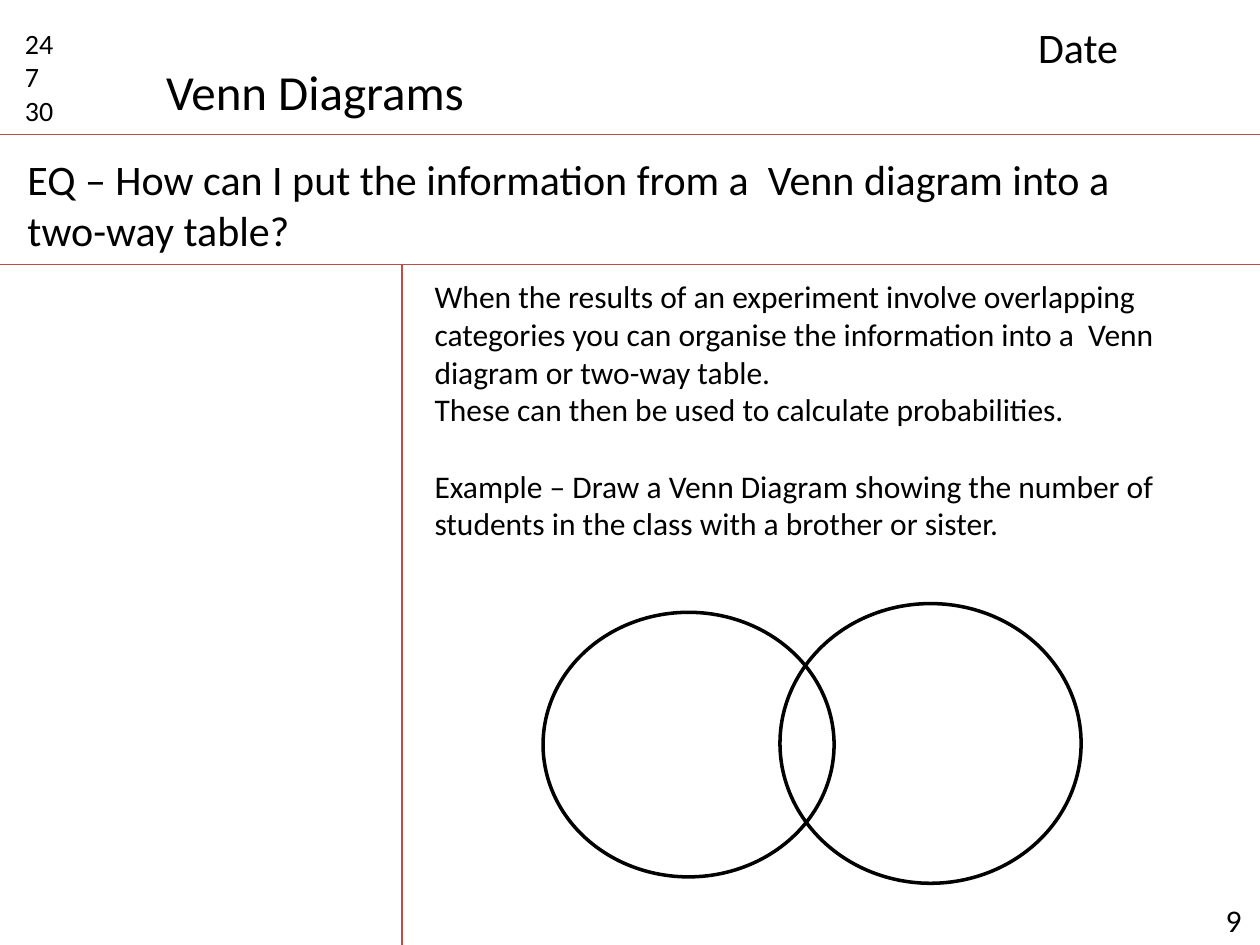
import pptx
import pptx.dml.color
import pptx.enum.shapes
import pptx.enum.text
import pptx.oxml.ns
import pptx.util
from lxml import etree

prs = pptx.Presentation()
prs.slide_width = pptx.util.Inches(10)
prs.slide_height = pptx.util.Inches(7.5)
s = prs.slides.add_slide(prs.slide_layouts[6])

# Grid of 100 columns by 75 rows
COLS, ROWS = 100, 75
col = prs.slide_width / COLS
row = prs.slide_height / ROWS
TOP_RULE, EQ_RULE, MARGIN = 10.7, 21, 31.9


def rgb(code):
    return pptx.dml.color.RGBColor.from_string(code)


def add_text(text, x, y, w, h, size, wrap=True, gaps=()):
    """Place text, one paragraph a line; gaps lists paragraphs set off by a line."""
    tf = s.shapes.add_textbox(int(x * col), int(y * row), int(w * col), int(h * row)).text_frame
    tf.word_wrap = wrap
    tf.auto_size = pptx.enum.text.MSO_AUTO_SIZE.SHAPE_TO_FIT_TEXT
    for i, line in enumerate(text.split("\n")):
        p = tf.paragraphs[0] if i == 0 else tf.add_paragraph()
        if i in gaps:
            p.space_before = pptx.util.Pt(size * 1.22)
        r = p.add_run()
        r.text = line
        r.font.size = pptx.util.Pt(size)
        r.font.name = "Calibri"
        r.font.color.rgb = rgb("000000")


# Page number
add_text("9", 96.3, 71, 3.7, 4, 18)

# Ruled lines: two across, one for the margin
for x1, y1, x2, y2 in [(0, TOP_RULE, COLS, TOP_RULE),
                       (0, EQ_RULE, COLS, EQ_RULE),
                       (MARGIN, EQ_RULE, MARGIN, ROWS)]:
    sp = s.shapes.add_connector(pptx.enum.shapes.MSO_CONNECTOR.STRAIGHT,
                                int(x1 * col), int(y1 * row), int(x2 * col), int(y2 * row))
    sp.line.color.rgb = rgb("BF4C48")
    sp.line.width = pptx.util.Pt(0.75)
    etree.SubElement(sp._element.spPr, pptx.oxml.ns.qn("a:effectLst"))

# Header
add_text("24\n7\n30", 1, 1.6, 6.3, 9.1, 16)
add_text("Venn Diagrams", 12.2, 4.4, 25.9, 5.7, 28, wrap=False)
add_text("Date", 81.4, 1.2, 17.3, 5, 24)

# Essential question
add_text("EQ – How can I put the information from a  Venn diagram into a two-way table?",
         1.2, 11.7, 94.3, 9.1, 24)

# Notes and example
add_text("When the results of an experiment involve overlapping categories you can organise "
         "the information into a  Venn diagram or two-way table.\n"
         "These can then be used to calculate probabilities.\n"
         "Example – Draw a Venn Diagram showing the number of students in the class "
         "with a brother or sister.",
         33.5, 21.5, 60.2, 31.3, 18, gaps=(2,))

# Venn diagram
for x, y, w, h in [(43.1, 48.6, 23.1, 21), (61.9, 47.9, 23.9, 22.2)]:
    sp = s.shapes.add_shape(pptx.enum.shapes.MSO_SHAPE.OVAL,
                            int(x * col), int(y * row), int(w * col), int(h * row))
    sp.shadow.inherit = False
    sp.fill.background()
    sp.line.color.rgb = rgb("000000")
    sp.line.width = pptx.util.Pt(2)

prs.save("out.pptx")
